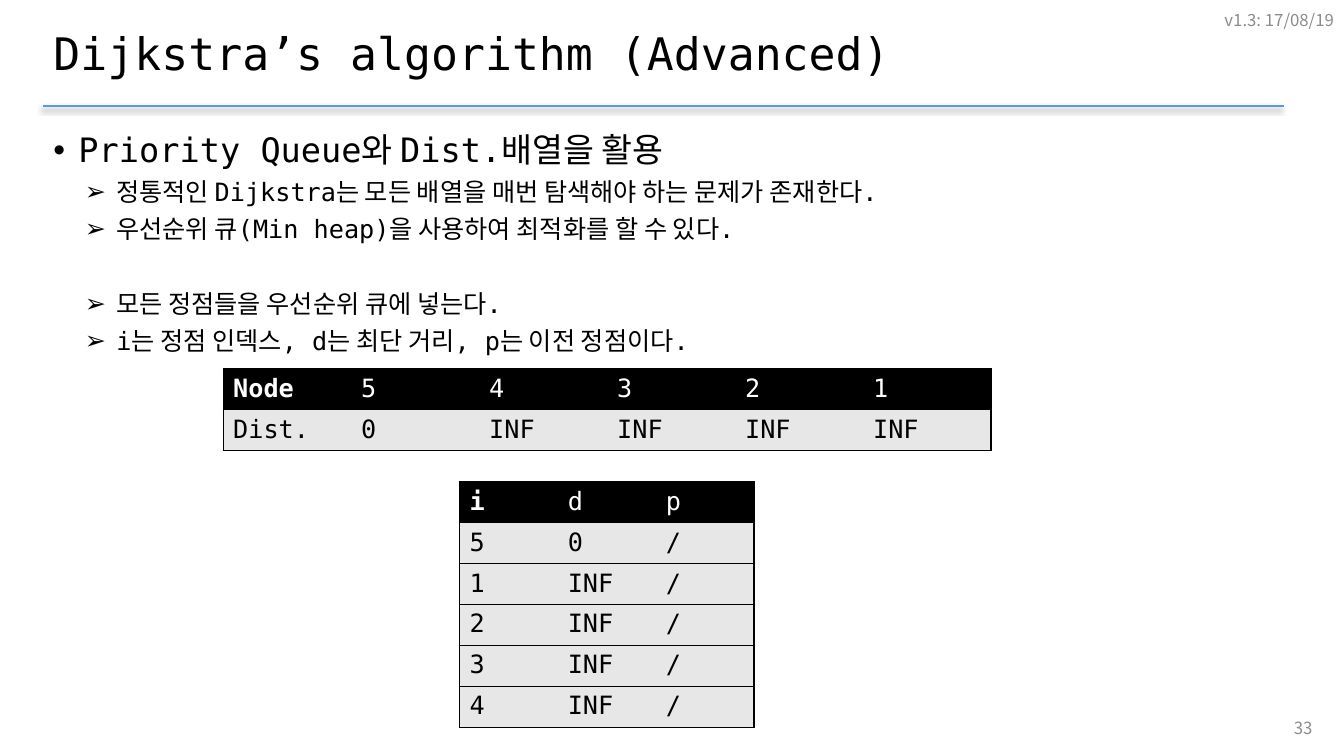
from dataclasses import dataclass

from lxml import etree
from pptx import Presentation
from pptx.dml.color import RGBColor
from pptx.enum.shapes import MSO_CONNECTOR
from pptx.enum.text import MSO_ANCHOR, PP_ALIGN
from pptx.oxml.ns import qn
from pptx.slide import Slide
from pptx.table import _Cell
from pptx.text.text import TextFrame, _Paragraph
from pptx.util import Pt

STRAIGHT = MSO_CONNECTOR.STRAIGHT
MIDDLE, TOP = MSO_ANCHOR.MIDDLE, MSO_ANCHOR.TOP
LEFT, RIGHT = PP_ALIGN.LEFT, PP_ALIGN.RIGHT

BLACK = RGBColor(0x00, 0x00, 0x00)
WHITE = RGBColor(0xFF, 0xFF, 0xFF)
GRAY = RGBColor(0x8C, 0x8C, 0x8C)
PALE = RGBColor(0xE7, 0xE7, 0xE7)
BLUE = RGBColor(0x5B, 0x9B, 0xD5)

MONO = "DejaVu Sans Mono"
KOREAN = "Noto Sans CJK KR"
MARGIN, CONTENT_WIDTH = 31, 886.5
ROW_HEIGHT = 29.2


@dataclass(frozen=True)
class Bullet:
    text: str
    mark: str = "➢"
    size: float = 18
    indent: float = 45
    hanging: float = 22.5
    before: float = 5
    line: float = 21.6


@dataclass(frozen=True)
class Label:
    text: str
    left: float
    top: float
    width: float


@dataclass(frozen=True)
class Grid:
    left: float
    top: float
    column_width: float
    rows: list[list[str]]


BULLETS = [
    Bullet("Priority Queue와 Dist.배열을 활용", "•", 24, 18, 18, 0, 27.6),
    Bullet("정통적인 Dijkstra는 모든 배열을 매번 탐색해야 하는 문제가 존재한다."),
    Bullet("우선순위 큐(Min heap)을 사용하여 최적화를 할 수 있다."),
    Bullet("모든 정점들을 우선순위 큐에 넣는다.", before=31.6),
    Bullet("i는 정점 인덱스, d는 최단 거리, p는 이전 정점이다."),
]
LABELS = [
    Label("v1.3: 17/08/19", 636, 0, 324),
    Label("33", 728.6, 505.4, 216),
]
GRIDS = [
    Grid(159.4, 263.5, 91.44, [
        ["Node", "5", "4", "3", "2", "1"],
        ["Dist.", "0"] + ["INF"] * 4,
    ]),
    Grid(328.3, 344.2, 70.08, [["i", "d", "p"], ["5", "0", "/"]]
         + [[node, "INF", "/"] for node in "1234"]),
]


def write(para: _Paragraph, text: str, *, size: float, font: str = MONO,
          color: RGBColor = BLACK, bold: bool = False,
          align: PP_ALIGN = LEFT) -> None:
    para.alignment = align
    span = para.add_run()
    span.text = text
    span.font.size = Pt(size)
    span.font.bold = bold
    span.font.name = font
    span.font.color.rgb = color
    east_asian = etree.Element(qn("a:ea"), typeface=KOREAN)
    span.font._element.find(qn("a:latin")).addnext(east_asian)


def add_box(page: Slide, left: float, top: float, width: float,
            height: float, anchor: MSO_ANCHOR) -> TextFrame:
    box = page.shapes.add_textbox(Pt(left), Pt(top), Pt(width), Pt(height))
    box.text_frame.word_wrap = True
    box.text_frame.vertical_anchor = anchor
    return box.text_frame


def add_rule(page: Slide) -> None:
    rule = page.shapes.add_connector(
        STRAIGHT, Pt(MARGIN), Pt(75.6), Pt(MARGIN + CONTENT_WIDTH), Pt(75.6))
    rule.line.color.rgb = BLUE
    rule.line.width = Pt(1.5)
    effects = etree.SubElement(rule._element.spPr, qn("a:effectLst"))
    shadow = etree.SubElement(
        effects, qn("a:outerShdw"), blurRad=str(Pt(4)), dist=str(Pt(3)),
        dir=str(135 * 60000), algn="tr", rotWithShape="0")
    tint = etree.SubElement(shadow, qn("a:srgbClr"), val=str(BLACK))
    etree.SubElement(tint, qn("a:alpha"), val="40000")


def add_title(page: Slide, text: str) -> None:
    title = page.shapes.title
    title.left, title.top = Pt(MARGIN), Pt(13)
    title.width, title.height = Pt(CONTENT_WIDTH), Pt(53.3)
    title.text_frame.vertical_anchor = MIDDLE
    para = title.text_frame.paragraphs[0]
    para.line_spacing = 0.9
    write(para, text, size=32)


def add_bullets(page: Slide, bullets: list[Bullet]) -> None:
    frame = add_box(page, MARGIN, 90, CONTENT_WIDTH, 429, TOP)
    for index, bullet in enumerate(bullets):
        para = frame.add_paragraph() if index else frame.paragraphs[0]
        para.level = 1 if index else 0
        para.space_before = Pt(bullet.before)
        para.line_spacing = Pt(bullet.line)
        write(para, bullet.text, size=bullet.size)
        properties = para._p.get_or_add_pPr()
        properties.set("marL", str(Pt(bullet.indent)))
        properties.set("indent", str(-Pt(bullet.hanging)))
        etree.SubElement(properties, qn("a:buFont"), typeface="Arial")
        etree.SubElement(properties, qn("a:buChar"), char=bullet.mark)


def add_borders(cell: _Cell, sides: dict[str, bool]) -> None:
    properties = cell._tc.get_or_add_tcPr()
    for side, shown in sides.items():
        border = etree.SubElement(properties, qn(f"a:ln{side}"), w=str(Pt(1)))
        if shown:
            fill = etree.SubElement(border, qn("a:solidFill"))
            etree.SubElement(fill, qn("a:srgbClr"), val=str(BLACK))
        else:
            etree.SubElement(border, qn("a:noFill"))


def add_grid(page: Slide, grid: Grid) -> None:
    row_count, column_count = len(grid.rows), len(grid.rows[0])
    table = page.shapes.add_table(
        row_count, column_count, Pt(grid.left), Pt(grid.top),
        Pt(grid.column_width * column_count), Pt(ROW_HEIGHT * row_count)).table
    for column in table.columns:
        column.width = Pt(grid.column_width)
    for row_index, texts in enumerate(grid.rows):
        table.rows[row_index].height = Pt(ROW_HEIGHT)
        header = row_index == 0
        for column_index, text in enumerate(texts):
            cell = table.cell(row_index, column_index)
            first, last = column_index == 0, column_index == column_count - 1
            add_borders(cell, {"L": first, "R": last, "T": True, "B": True})
            cell.fill.solid()
            cell.fill.fore_color.rgb = BLACK if header else PALE
            write(cell.text_frame.paragraphs[0], text, size=18,
                  color=WHITE if header else BLACK, bold=header and first)


def main() -> None:
    deck = Presentation()
    deck.slide_width, deck.slide_height = Pt(960), Pt(540)
    page = deck.slides.add_slide(deck.slide_layouts[5])
    add_rule(page)
    add_title(page, "Dijkstra’s algorithm (Advanced)")
    add_bullets(page, BULLETS)
    for label in LABELS:
        frame = add_box(page, label.left, label.top, label.width, 28.8, MIDDLE)
        write(frame.paragraphs[0], label.text, size=12, font=KOREAN,
              color=GRAY, align=RIGHT)
    for grid in GRIDS:
        add_grid(page, grid)
    deck.save("out.pptx")


if __name__ == "__main__":
    main()
